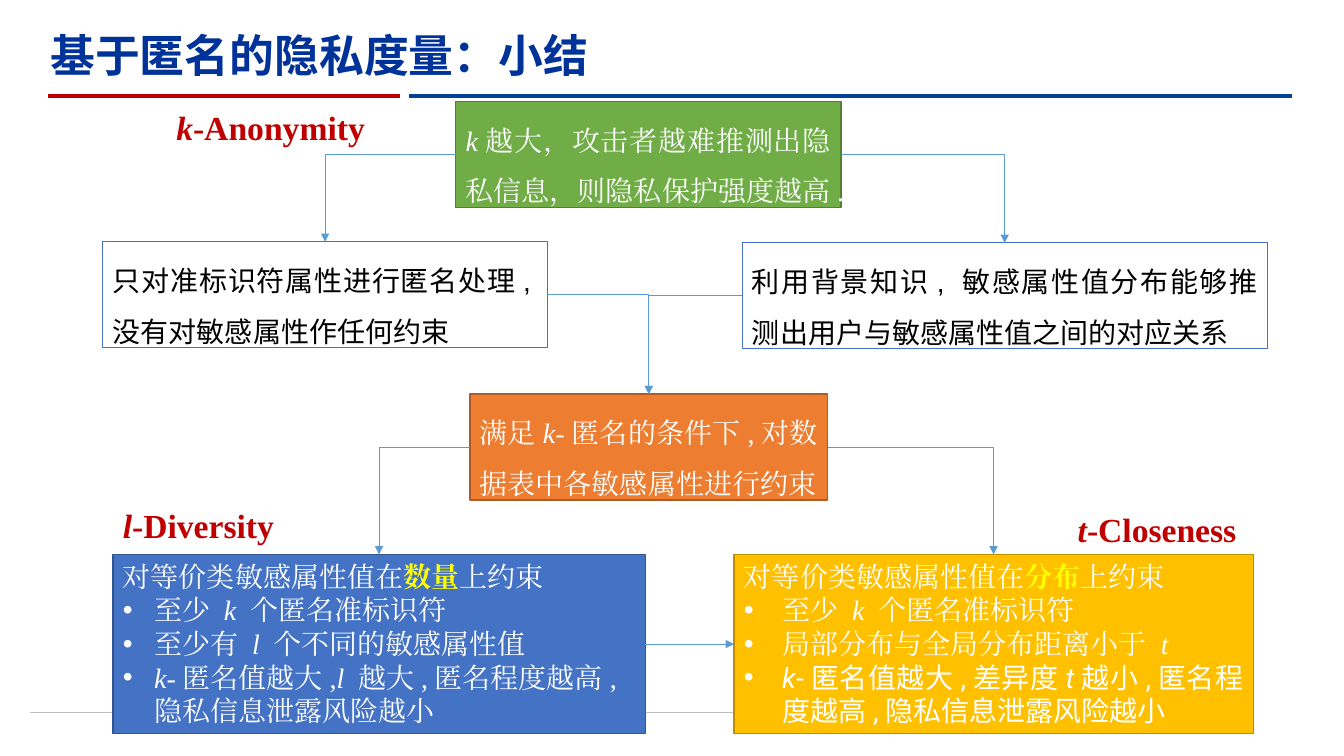
from lxml import etree
from pptx import Presentation
from pptx.dml.color import RGBColor
from pptx.enum.shapes import MSO_CONNECTOR as CONN, MSO_SHAPE as SHAPE
from pptx.enum.text import MSO_ANCHOR as ANCHOR, MSO_AUTO_SIZE as AUTO, PP_ALIGN as ALIGN
from pptx.oxml.ns import qn
from pptx.util import Inches, Pt

SERIF, SANS, CJK = "Times New Roman", "Arial", "Noto Sans CJK SC"
WHITE, YELLOW, RED, BLUE = "FFFFFF", "FFFF00", "C00000", "4472C4"
TOP, LEFT, RIGHT = 0, 1, 3  # connection sites of a rectangle


def rgb(value):
    return RGBColor.from_string(value)


def add_run(p, text, size, color, font=SERIF, bold=False, italic=False):
    r = p.add_run()
    r.text = text
    f = r.font
    f.size, f.name, f.bold, f.italic = Pt(size), font, bold, italic
    f.color.rgb = rgb(color)
    ea = etree.SubElement(r._r.get_or_add_rPr(), qn("a:ea"))
    ea.set("typeface", font)


def add_bullet(p, indent):
    pPr = p._p.get_or_add_pPr()
    pPr.set("marL", str(Inches(indent)))
    pPr.set("indent", str(-Inches(indent)))
    etree.SubElement(pPr, qn("a:buFont")).set("typeface", SANS)
    etree.SubElement(pPr, qn("a:buChar")).set("char", "•")


def add_box(s, x, y, w, h, line, width=1, fill=None):
    sp = s.shapes.add_shape(SHAPE.RECTANGLE, Inches(x), Inches(y), Inches(w), Inches(h))
    sp.shadow.inherit = False
    if fill:
        sp.fill.solid()
        sp.fill.fore_color.rgb = rgb(fill)
    else:
        sp.fill.background()
    sp.line.color.rgb = rgb(line)
    sp.line.width = Pt(width)
    tf = sp.text_frame
    tf.word_wrap = True
    tf.vertical_anchor = ANCHOR.TOP
    tf.auto_size = AUTO.SHAPE_TO_FIT_TEXT
    return sp


def add_statement(sp, runs, color, font=SERIF, after=0):
    """Fill a box with one justified paragraph; runs are (text, italic)."""
    p = sp.text_frame.paragraphs[0]
    p.alignment = ALIGN.JUSTIFY
    p.line_spacing = 1.5
    p.space_after = Pt(after)
    for text, italic in runs:
        add_run(p, text, 20, color, font, italic=italic)


def add_summary(sp, keyword, bullets, indent, align):
    """Fill a box with a heading and bullets; runs are (text, italic[, font])."""
    tf = sp.text_frame
    p = tf.paragraphs[0]
    p.alignment = align
    add_run(p, "对等价类敏感属性值在", 20, WHITE)
    add_run(p, keyword, 20, YELLOW, bold=True)
    add_run(p, "上约束", 20, WHITE)
    for runs in bullets:
        p = tf.add_paragraph()
        p.alignment = align
        add_bullet(p, indent)
        for text, italic, *font in runs:
            add_run(p, text, 20, WHITE, *font, italic=italic)


def add_label(s, x, y, w, letter, name):
    tf = s.shapes.add_textbox(Inches(x), Inches(y), Inches(w), Inches(0.5)).text_frame
    tf.word_wrap = False
    tf.auto_size = AUTO.SHAPE_TO_FIT_TEXT
    p = tf.paragraphs[0]
    add_run(p, letter, 24, RED, bold=True, italic=True)
    add_run(p, name, 24, RED, bold=True)


def style_line(cx, color, width):
    cx.line.color.rgb = rgb(color)
    cx.line.width = Pt(width)
    etree.SubElement(cx._element.spPr, qn("a:effectLst"))


def add_rule(s, x1, x2, y, color, width):
    cx = s.shapes.add_connector(CONN.STRAIGHT, Inches(x1), Inches(y), Inches(x2), Inches(y))
    style_line(cx, color, width)


def add_arrow(s, start, start_site, end, end_site):
    """Join two boxes: one bend into a top edge, otherwise straight."""
    bent = end_site == TOP
    cx = s.shapes.add_connector(CONN.ELBOW if bent else CONN.STRAIGHT, 0, 0, 0, 0)
    cx.begin_connect(start, start_site)
    cx.end_connect(end, end_site)
    if bent:
        cx._element.spPr.find(qn("a:prstGeom")).set("prst", "bentConnector2")
    style_line(cx, "5B9BD5", 0.5)
    ln = cx._element.spPr.find(qn("a:ln"))
    etree.SubElement(ln, qn("a:tailEnd")).set("type", "triangle")


def main():
    prs = Presentation()
    prs.slide_width, prs.slide_height = Inches(13.33), Inches(7.5)
    s = prs.slides.add_slide(prs.slide_layouts[6])

    # Rules and title
    add_rule(s, 0.3, 10.81, 7.07, "BFBFBF", 0.5)
    add_rule(s, 4.06, 12.81, 0.95, "004299", 3)
    add_rule(s, 0.48, 3.97, 0.95, RED, 3)
    title = s.shapes.add_textbox(Inches(0.4), Inches(0.12), Inches(10.46), Inches(0.84))
    tf = title.text_frame
    tf.word_wrap = True
    tf.vertical_anchor = ANCHOR.MIDDLE
    add_run(tf.paragraphs[0], "基于匿名的隐私度量：小结", 32, "003399", CJK, bold=True)

    # k-anonymity and its two weaknesses
    anonymity = add_box(s, 4.52, 1.01, 3.82, 1.05, "538035", fill="70AD47")
    add_statement(anonymity, [("k", True), ("越大，攻击者越难推测出隐私信息，则隐私保护强度越高.", False)], WHITE)
    identifiers = add_box(s, 1.02, 2.4, 4.41, 1.05, BLUE, 0.75)
    add_statement(identifiers, [("只对准标识符属性进行匿名处理,没有对敏感属性作任何约束", False)], "000000", SANS)
    background = add_box(s, 7.36, 2.41, 5.21, 1.05, BLUE, 0.75)
    add_statement(background, [("利用背景知识, 敏感属性值分布能够推测出用户与敏感属性值之间的对应关系", False)],
                  "000000", SANS)

    # Added constraint and the two refined models
    constraint = add_box(s, 4.66, 3.91, 3.55, 1.05, "AF5C24", fill="ED7D31")
    add_statement(constraint, [("满足", False), ("k", True),
                               ("-匿名的条件下,对数据表中各敏感属性进行约束", False)], WHITE, after=12)
    at_least_k = [("至少 ", False), ("k ", True), ("个匿名准标识符", False)]
    diversity = add_box(s, 1.12, 5.5, 5.28, 1.78, "325491", fill=BLUE)
    add_summary(diversity, "数量", [
        at_least_k,
        [("至少有 ", False), ("l ", True), ("个不同的敏感属性值", False)],
        [("k", True), ("-匿名值越大,", False), ("l ", True),
         ("越大,匿名程度越高,隐私信息泄露风险越小", False)],
    ], 0.31, ALIGN.LEFT)
    closeness = add_box(s, 7.28, 5.5, 5.15, 1.78, "BD8E00", fill="FFC000")
    add_summary(closeness, "分布", [
        at_least_k,
        [("局部分布与全局分布距离小于 ", False), ("t", True)],
        [("k", True, "Roboto"), ("-匿名值越大,差异度", False, "Roboto"), ("t", True, "Roboto"),
         ("越小,匿名程度越高,隐私信息泄露风险越小", False, "Roboto")],
    ], 0.38, ALIGN.JUSTIFY)

    # Arrows
    for start, start_site, end, end_site in [
        (anonymity, LEFT, identifiers, TOP),
        (anonymity, RIGHT, background, TOP),
        (background, LEFT, constraint, TOP),
        (identifiers, RIGHT, constraint, TOP),
        (constraint, LEFT, diversity, TOP),
        (constraint, RIGHT, closeness, TOP),
        (diversity, RIGHT, closeness, LEFT),
    ]:
        add_arrow(s, start, start_site, end, end_site)

    # Model names
    add_label(s, 10.59, 5, 1.79, "t", "-Closeness")
    add_label(s, 1.12, 4.96, 1.71, "l", "-Diversity")
    add_label(s, 1.65, 1.01, 2.11, "k", "-Anonymity")

    prs.save("out.pptx")


if __name__ == "__main__":
    main()
